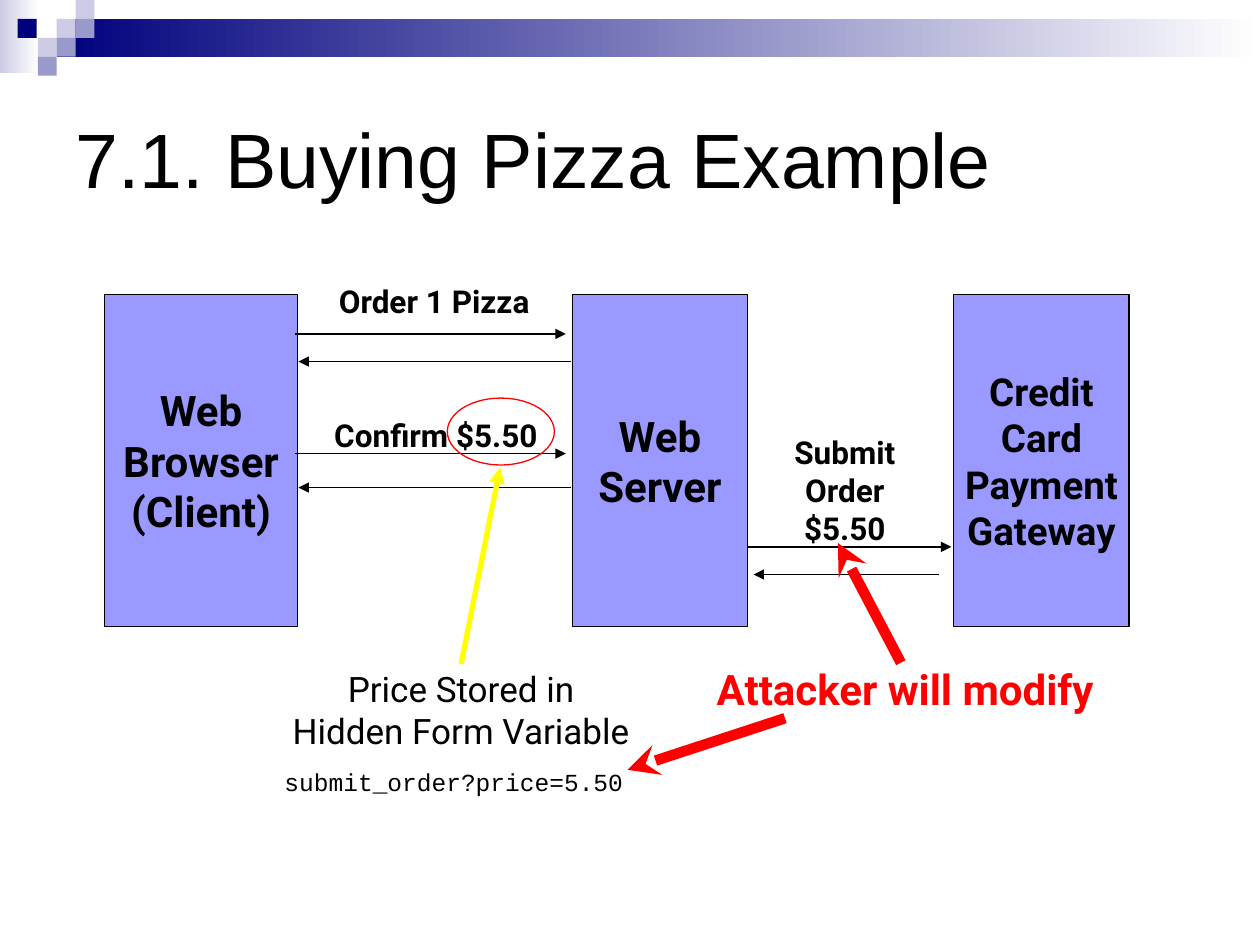
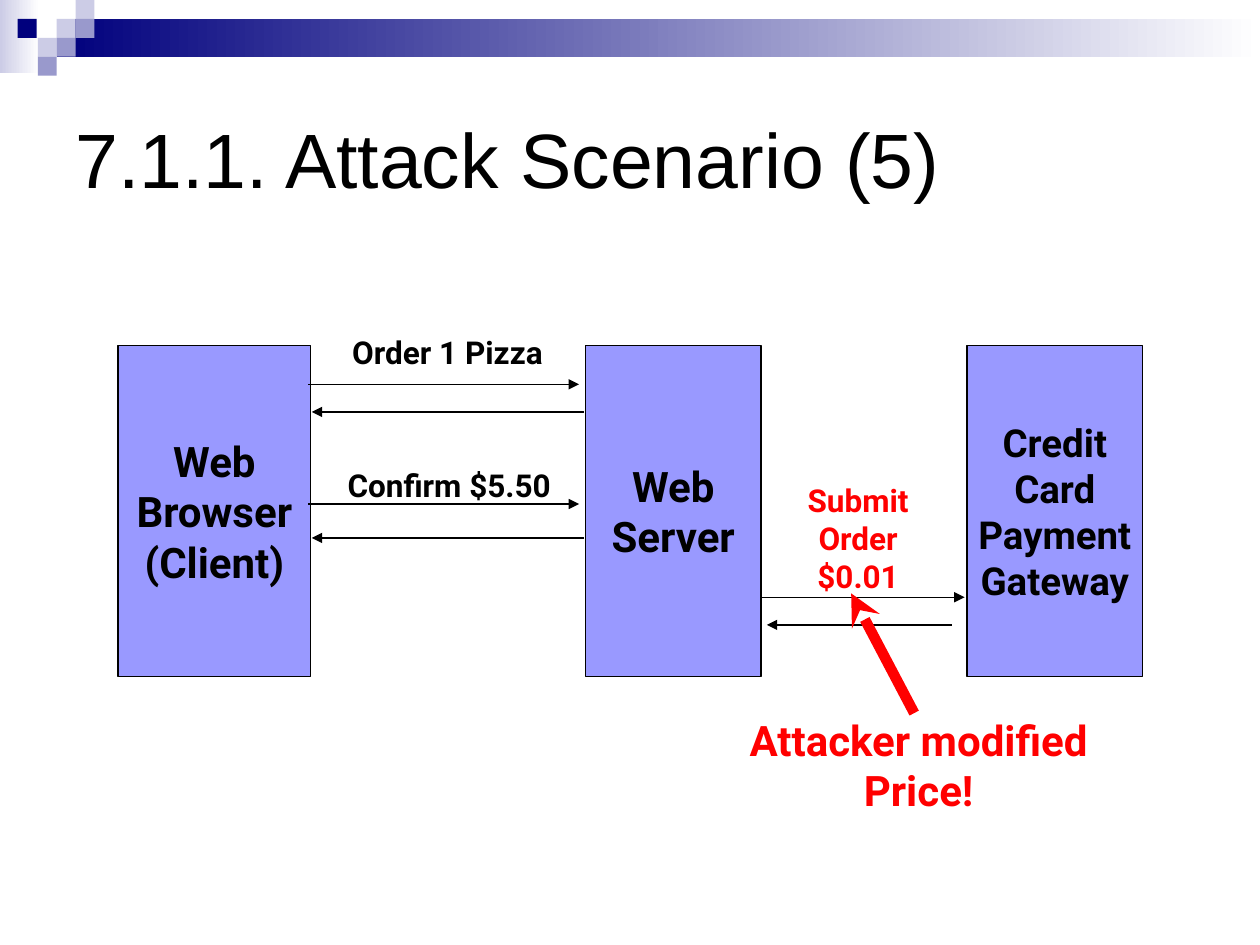
from pptx import Presentation
from pptx.dml.color import RGBColor
from pptx.enum.shapes import MSO_CONNECTOR, MSO_SHAPE
from pptx.enum.text import MSO_ANCHOR, MSO_AUTO_SIZE, PP_ALIGN
from pptx.oxml.ns import qn
from pptx.util import Pt
from lxml.etree import SubElement

BLACK = RGBColor(0x00, 0x00, 0x00)
WHITE = RGBColor(0xFF, 0xFF, 0xFF)
RED = RGBColor(0xFF, 0x00, 0x00)
YELLOW = RGBColor(0xFF, 0xFF, 0x00)
BOX_BLUE = RGBColor(0x99, 0x99, 0xFF)
NAVY = RGBColor(0x00, 0x00, 0x7D)
PALE = RGBColor(0xCC, 0xCC, 0xE6)
MID = RGBColor(0x99, 0x99, 0xCC)
BODY_FONT, TITLE_FONT, CODE_FONT = "Roboto", "Arial", "Courier New"

# Header: fading bands (left, top, width, height, colour), then squares
BANDS = [(0, 0, 22.4, 41.8, PALE), (32.4, 10.8, 687.6, 21.6, NAVY)]
SQUARE = 10.8
SQUARES = [(32.4, 10.8, PALE), (43.2, 0, PALE), (43.2, 10.8, MID),
           (21.6, 21.6, PALE), (10.1, 10.8, NAVY), (32.4, 21.6, MID),
           (21.6, 32.4, MID)]

# Diagram positions, before the offset of each slide
BOX_TOP, BOX_HEIGHT = 168.5, 189.4
PARTIES = [("Web\nBrowser\n(Client)", 59.8, 110.2, 24),
           ("Web\nServer", 327, 100.3, 24),
           ("Credit\nCard\nPayment\nGateway", 545, 100.3, 22)]
MESSAGES = [(168.5, 323.3, 190.8), (326.2, 170.6, 206.6),
            (168.5, 323.3, 259.2), (326.2, 170.6, 278.6),
            (427.7, 543.6, 312.5), (536.4, 430.6, 328.3)]
LABELS = [("Order 1 Pizza", (182.2, 157.7, 131.8, 28.8)),
          ("Confirm $5.50", (180, 234, 138.2, 28.8))]
ATTACK_ARROW = ((514.8, 378.7), (478.8, 310.3))

SLIDES = [
    dict(title="7.1. Buying Pizza Example", offset=(0, 0),
         submit=("Submit\nOrder\n$5.50", 244.1, BLACK),
         attack=("Attacker will modify", (388.8, 375.8, 257, 36)),
         hidden_field=True),
    dict(title="7.1.1. Attack Scenario (5)", offset=(7.6, 28.8),
         submit=("Submit\nOrder\n$0.01", 242.7, RED),
         attack=("Attacker modified\nPrice!", (401.4, 375.8, 231.8, 64.8)),
         hidden_field=False),
]
FIELD_NOTE = "Price Stored in\vHidden Form Variable"
FIELD_CODE = "submit_order?price=5.50"


def style(p, size, color=BLACK, bold=False, font=BODY_FONT,
          align=PP_ALIGN.CENTER):
    p.alignment = align
    for r in p.runs:
        f = r.font
        f.name, f.size, f.bold, f.color.rgb = font, Pt(size), bold, color


def add_shape(slide, kind, box, fill=None, line=None):
    s = slide.shapes.add_shape(kind, *map(Pt, box))
    s.shadow.inherit = False
    if fill is None:
        s.fill.background()
    else:
        s.fill.solid()
        s.fill.fore_color.rgb = fill
    if line is None:
        s.line.fill.background()
    else:
        s.line.color.rgb = line
        s.line.width = Pt(0.75)
    return s


def add_label(slide, text, box, size, color=BLACK):
    s = slide.shapes.add_textbox(*map(Pt, box))
    tf = s.text_frame
    tf.word_wrap = False
    tf.text = text
    for p in tf.paragraphs:
        style(p, size, color, bold=True)


def add_arrow(slide, start, end, color=BLACK, width=0.75, head="triangle"):
    s = slide.shapes.add_connector(MSO_CONNECTOR.STRAIGHT,
                                   *map(Pt, (*start, *end)))
    s.line.color.rgb = color
    s.line.width = Pt(width)
    SubElement(s.line._get_or_add_ln(), qn("a:tailEnd"), type=head)
    SubElement(s._element.spPr, qn("a:effectLst"))


def add_header(slide, title):
    for *box, color in BANDS:
        s = add_shape(slide, MSO_SHAPE.RECTANGLE, box, color)
        s.fill.gradient()
        s.fill.gradient_angle = 0
        for stop, stop_color in zip(s.fill.gradient_stops, (color, WHITE)):
            stop.color.rgb = stop_color
    for x, y, color in SQUARES:
        add_shape(slide, MSO_SHAPE.RECTANGLE, (x, y, SQUARE, SQUARE), color)
    s = slide.shapes.title
    s.left, s.top, s.width, s.height = map(Pt, (36, 36, 648, 108))
    tf = s.text_frame
    tf.text = title
    tf.auto_size = MSO_AUTO_SIZE.NONE
    tf.vertical_anchor = MSO_ANCHOR.MIDDLE
    style(tf.paragraphs[0], 44, font=TITLE_FONT, align=PP_ALIGN.LEFT)


def add_order_flow(slide, offset, submit, attack):
    dx, dy = offset

    def moved(x, y, *size):
        return (x + dx, y + dy, *size)

    for text, x, width, size in PARTIES:
        s = add_shape(slide, MSO_SHAPE.RECTANGLE,
                      moved(x, BOX_TOP, width, BOX_HEIGHT), BOX_BLUE, BLACK)
        tf = s.text_frame
        tf.word_wrap = False
        tf.vertical_anchor = MSO_ANCHOR.MIDDLE
        tf.text = text
        for p in tf.paragraphs:
            style(p, size, bold=True)
    for x1, x2, y in MESSAGES:
        add_arrow(slide, moved(x1, y), moved(x2, y))
    for text, box in LABELS:
        add_label(slide, text, moved(*box), 18)
    text, top, color = submit
    add_label(slide, text, moved(443.5, top, 78.5, 72), 18, color)
    start, end = ATTACK_ARROW
    add_arrow(slide, moved(*start), moved(*end), RED, 6, "stealth")
    text, box = attack
    add_label(slide, text, moved(*box), 24, RED)


def add_hidden_field(slide):
    s = slide.shapes.add_textbox(*map(Pt, (155.5, 378, 216, 105)))
    tf = s.text_frame
    tf.word_wrap = True
    note, code = tf.paragraphs[0], tf.add_paragraph()
    note.text, code.text = FIELD_NOTE, FIELD_CODE
    style(note, 20)
    style(code, 14, font=CODE_FONT, align=PP_ALIGN.LEFT)
    code.space_before = Pt(8.8)
    add_shape(slide, MSO_SHAPE.OVAL, (255.6, 227.5, 61.2, 38.2), line=RED)
    add_arrow(slide, (263.5, 379.4), (285.8, 267.1), YELLOW, 3)
    add_arrow(slide, (448.6, 410.4), (358.6, 439.9), RED, 6, "stealth")


def main():
    prs = Presentation()
    prs.slide_width, prs.slide_height = Pt(720), Pt(540)
    for content in SLIDES:
        slide = prs.slides.add_slide(prs.slide_layouts[5])
        add_header(slide, content["title"])
        add_order_flow(slide, content["offset"], content["submit"],
                       content["attack"])
        if content["hidden_field"]:
            add_hidden_field(slide)
    prs.save("out.pptx")


if __name__ == "__main__":
    main()
